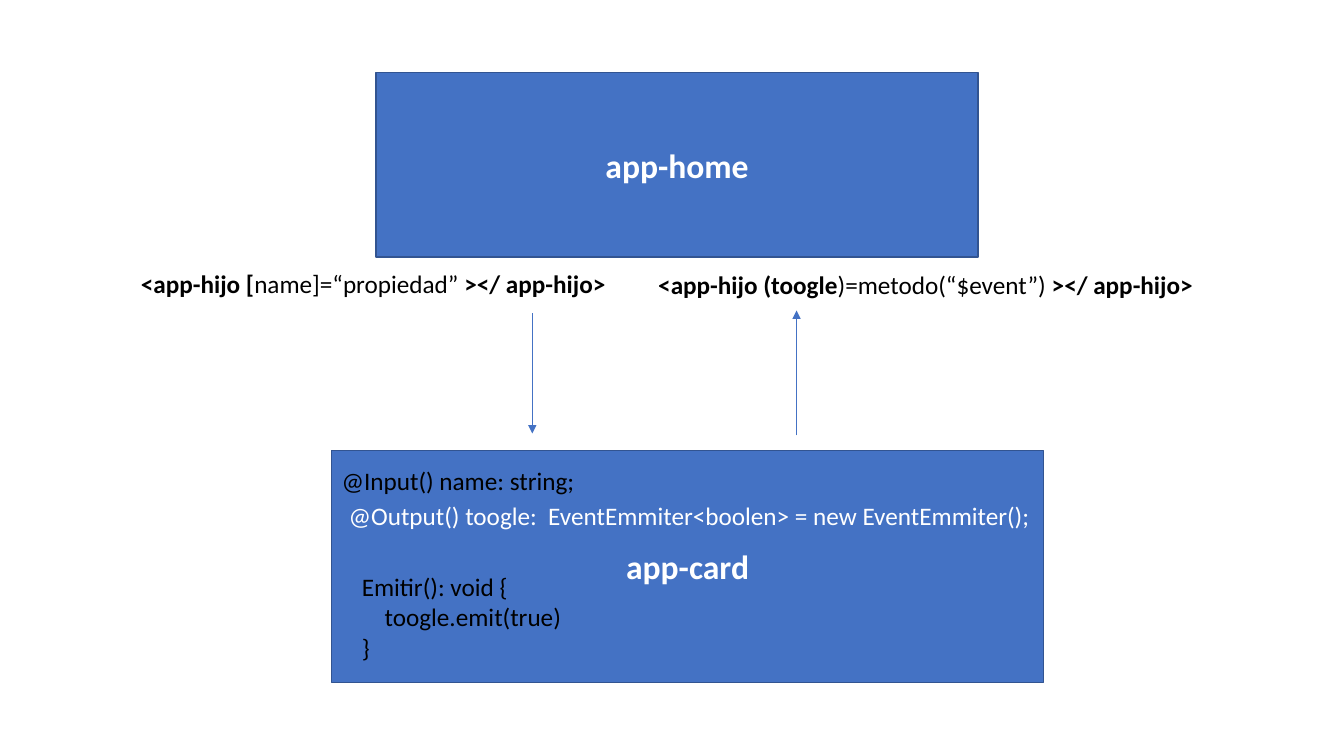
from collections import namedtuple

from lxml import etree
from pptx import Presentation
from pptx.dml.color import RGBColor
from pptx.enum.shapes import MSO_CONNECTOR, MSO_SHAPE
from pptx.enum.text import MSO_ANCHOR, PP_ALIGN
from pptx.oxml.ns import qn
from pptx.util import Inches, Pt

RECTANGLE = MSO_SHAPE.RECTANGLE
STRAIGHT = MSO_CONNECTOR.STRAIGHT
LEFT, CENTER = PP_ALIGN.LEFT, PP_ALIGN.CENTER
TOP, MIDDLE = MSO_ANCHOR.TOP, MSO_ANCHOR.MIDDLE

COLORS = {"fill": "4472C4", "border": "325491", "light": "FFFFFF", "dark": "000000"}
FONT = "Calibri"
CODE_INDENT = Pt(16.3)

Box = namedtuple("Box", "left top width height")


def color(name):
    """Look up a palette colour."""
    return RGBColor.from_string(COLORS[name])


def part(box, left, top, width=0, height=0):
    """Return a box inside another, given in percent of its size."""
    return Box(
        int(box.left + box.width * left / 100),
        int(box.top + box.height * top / 100),
        int(box.width * width / 100),
        int(box.height * height / 100),
    )


def write(frame, lines, size=18, ink="dark", align=LEFT, anchor=TOP, wrap=True):
    """Write lines, each an indent level and a list of (text, bold) spans."""
    frame.word_wrap = wrap
    frame.vertical_anchor = anchor
    for index, (level, spans) in enumerate(lines):
        para = frame.add_paragraph() if index else frame.paragraphs[0]
        para.alignment = align
        if level:
            para._p.get_or_add_pPr().set("marL", str(level * CODE_INDENT))
        for text, bold in spans:
            span = para.add_run()
            span.text = text
            span.font.name = FONT
            span.font.size = Pt(size)
            span.font.bold = bold
            span.font.color.rgb = color(ink)


def add_text(page, box, lines, **style):
    """Add a text box."""
    write(page.shapes.add_textbox(*box).text_frame, lines, **style)


def add_component(page, box, name):
    """Add a component's rectangle with its name in the middle."""
    shape = page.shapes.add_shape(RECTANGLE, *box)
    shape.shadow.inherit = False
    shape.fill.solid()
    shape.fill.fore_color.rgb = color("fill")
    shape.line.color.rgb = color("border")
    shape.line.width = Pt(1)
    write(shape.text_frame, [(0, [(name, True)])],
          size=24, ink="light", align=CENTER, anchor=MIDDLE)


def add_arrow(page, box, across, start, end):
    """Add a vertical arrow, placed in percent of the box."""
    begin, finish = part(box, across, start), part(box, across, end)
    arrow = page.shapes.add_connector(
        STRAIGHT, begin.left, begin.top, finish.left, finish.top)
    arrow.line.color.rgb = color("fill")
    arrow.line.width = Pt(0.5)
    etree.SubElement(arrow.line._get_or_add_ln(), qn("a:tailEnd"), type="triangle")
    etree.SubElement(arrow._element.spPr, qn("a:effectLst"))


def build_bindings(page, box):
    """Place the property and event bindings with their arrows."""
    bindings = [
        ((0, 0, 45.55, 23.4), "<app-hijo [", "name]=“propiedad”", (37.3, 29.24, 98.83)),
        ((48.08, 0.6, 51.92, 23.4), "<app-hijo (toogle", ")=metodo(“$event”)",
         (61.86, 100, 27.49)),
    ]
    for place, opening, value, arrow in bindings:
        spans = [(opening, True), (value, False), (" ></ app-hijo>", True)]
        add_text(page, part(box, *place), [(0, spans)], wrap=False)
        add_arrow(page, box, *arrow)


def build_card(page, box):
    """Place the child component with its code."""
    add_component(page, box, "app-card")
    add_text(page, part(box, 0, 4.35, 35.98, 17.4),
             [(0, [("@Input() name: string;", False)])], wrap=False)
    output = "@Output() toogle:  EventEmmiter<boolen> = new EventEmmiter();"
    add_text(page, part(box, 0.99, 19.13, 109.63, 17.4),
             [(0, [(output, False)])], ink="light")
    method = [(0, "Emitir(): void {"), (1, "toogle.emit(true)"), (0, "}")]
    add_text(page, part(box, 2.83, 50, 94.48, 43.9),
             [(level, [(text, False)]) for level, text in method])


def build_slide(page, box):
    """Place parent, bindings and child from top to bottom."""
    add_component(page, part(box, 27.98, 9.6, 44.79, 24.4), "app-home")
    build_card(page, part(box, 24.68, 59.6, 52.96, 30.67))
    build_bindings(page, part(box, 9.75, 34.8, 80.05, 22.8))


deck = Presentation()
deck.slide_width, deck.slide_height = Inches(13.33), Inches(7.5)
blank_layout = deck.slide_layouts[6]
build_slide(deck.slides.add_slide(blank_layout),
            Box(0, 0, deck.slide_width, deck.slide_height))
deck.save("out.pptx")
